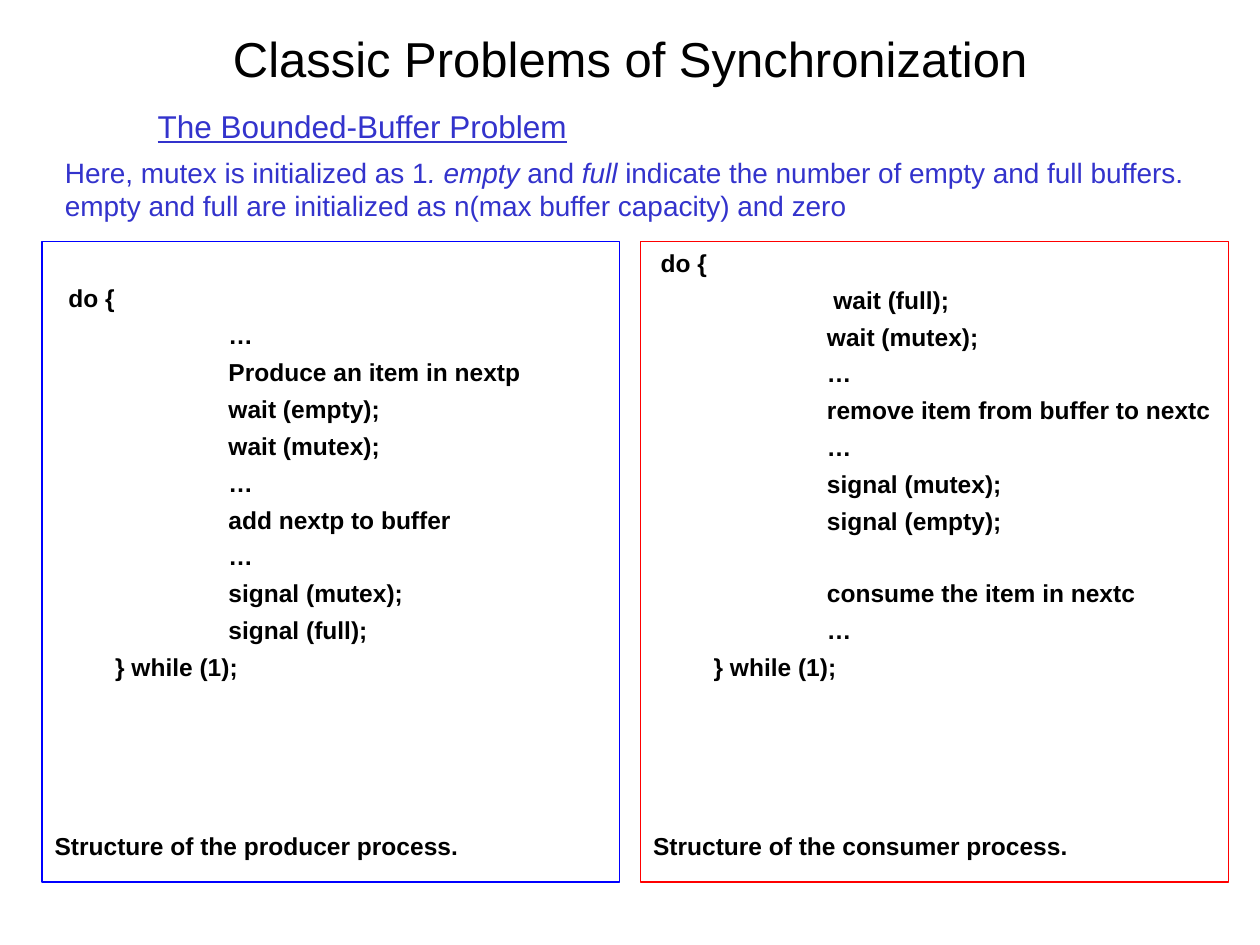
from pptx import Presentation
from pptx.dml.color import RGBColor
from pptx.enum.text import MSO_ANCHOR, MSO_AUTO_SIZE, PP_ALIGN
from pptx.oxml.ns import qn
from pptx.util import Inches, Pt

BLACK = RGBColor(0x00, 0x00, 0x00)
INDIGO = RGBColor(0x33, 0x33, 0xCC)
BLUE = RGBColor(0x00, 0x00, 0xFF)
RED = RGBColor(0xFF, 0x00, 0x00)

CELL = Inches(1) // 12
LINE_PITCH = 20.35
LINE_GAP = 4.25
STATEMENT, LOOP_END, CAPTION = 1.38, 0.48, 0

PRODUCER = [
    ("do {", 0.11, 0),
    ("…", STATEMENT, 0),
    ("Produce an item in nextp", STATEMENT, 0),
    ("wait (empty);", STATEMENT, 0),
    ("wait (mutex);", STATEMENT, 0),
    ("…", STATEMENT, 0),
    ("add nextp to buffer", STATEMENT, 0),
    ("…", STATEMENT, 0),
    ("signal (mutex);", STATEMENT, 0),
    ("signal (full);", STATEMENT, 0),
    ("} while (1);", LOOP_END, 0),
    ("Structure of the producer process.", CAPTION, 4),
]
CONSUMER = [
    ("do {", 0.06, 0),
    ("wait (full);", 1.43, 0),
    ("wait (mutex);", STATEMENT, 0),
    ("…", STATEMENT, 0),
    ("remove item from buffer to nextc", STATEMENT, 0),
    ("…", STATEMENT, 0),
    ("signal (mutex);", STATEMENT, 0),
    ("signal (empty);", STATEMENT, 0),
    ("consume the item in nextc", STATEMENT, 1),
    ("…", STATEMENT, 0),
    ("} while (1);", LOOP_END, 0),
    ("Structure of the consumer process.", CAPTION, 4),
]


class SlideBuilder:
    """Holds the style and the current slide, measured in cells of a 120 by 90 grid."""

    font_name = "Arial"

    def __init__(self, slide):
        self.slide = slide

    def place(self, shape, column, row, columns, rows):
        shape.left, shape.top = column * CELL, row * CELL
        shape.width, shape.height = columns * CELL, rows * CELL

    def prepare(self, shape, anchor):
        frame = shape.text_frame
        frame.word_wrap = True
        frame.auto_size = MSO_AUTO_SIZE.NONE
        frame.vertical_anchor = anchor
        return frame

    def add_run(self, paragraph, text, size, color, **styles):
        run = paragraph.add_run()
        run.text = text
        run.font.name = self.font_name
        run.font.size = Pt(size)
        run.font.color.rgb = color
        for style, value in styles.items():
            setattr(run.font, style, value)

    def title(self, text, *cells):
        shape = self.slide.shapes.title
        self.place(shape, *cells)
        paragraph = self.prepare(shape, MSO_ANCHOR.MIDDLE).paragraphs[0]
        paragraph.alignment = PP_ALIGN.CENTER
        self.add_run(paragraph, text, 28, BLACK)

    def text_box(self, runs, size, alignment, *cells):
        shape = self.slide.shapes.add_textbox(0, 0, 0, 0)
        self.place(shape, *cells)
        paragraph = self.prepare(shape, MSO_ANCHOR.MIDDLE).paragraphs[0]
        paragraph.alignment = alignment
        for text, styles in runs:
            self.add_run(paragraph, text, size, INDIGO, **styles)

    def code_panel(self, index, lines, border, skipped_lines, *cells):
        shape = self.slide.placeholders[index]
        self.place(shape, *cells)
        shape.line.color.rgb = border
        shape.line.width = Pt(0.75)
        frame = self.prepare(shape, MSO_ANCHOR.TOP)
        frame.margin_top = Inches(0.05) + Pt(skipped_lines * LINE_PITCH)
        for number, (text, indent, gap_lines) in enumerate(lines):
            paragraph = frame.add_paragraph() if number else frame.paragraphs[0]
            paragraph.space_before = Pt(LINE_GAP + gap_lines * LINE_PITCH if number else 0)
            properties = paragraph._p.get_or_add_pPr()
            properties.set("marL", str(Inches(indent)))
            properties.set("indent", "0")
            properties.append(properties.makeelement(qn("a:buNone"), {}))
            self.add_run(paragraph, text, 14, BLACK, bold=True)


def main():
    presentation = Presentation()
    presentation.slide_width, presentation.slide_height = Inches(10), Inches(7.5)
    builder = SlideBuilder(presentation.slides.add_slide(presentation.slide_layouts[3]))
    for placeholder in list(builder.slide.placeholders):
        if placeholder.placeholder_format.idx > 2:
            placeholder.element.getparent().remove(placeholder.element)

    builder.title("Classic Problems of Synchronization", 9, 0, 102, 11)
    builder.code_panel(1, PRODUCER, BLUE, 1, 4, 23, 55, 61)
    builder.code_panel(2, CONSUMER, RED, 0, 61, 23, 56, 61)
    heading = [("The Bounded-Buffer Problem", {"underline": True})]
    builder.text_box(heading, 18, PP_ALIGN.CENTER, 0, 9, 69, 6)
    note = [
        ("Here, mutex is initialized as 1", {}),
        (". empty ", {"italic": True}),
        ("and ", {}),
        ("full ", {"italic": True}),
        ("indicate the number of empty and full buffers. empty and full "
         "are initialized as n(max buffer capacity) and zero", {}),
    ]
    builder.text_box(note, 16, PP_ALIGN.LEFT, 5, 15, 111, 6)
    presentation.save("out.pptx")


if __name__ == "__main__":
    main()
